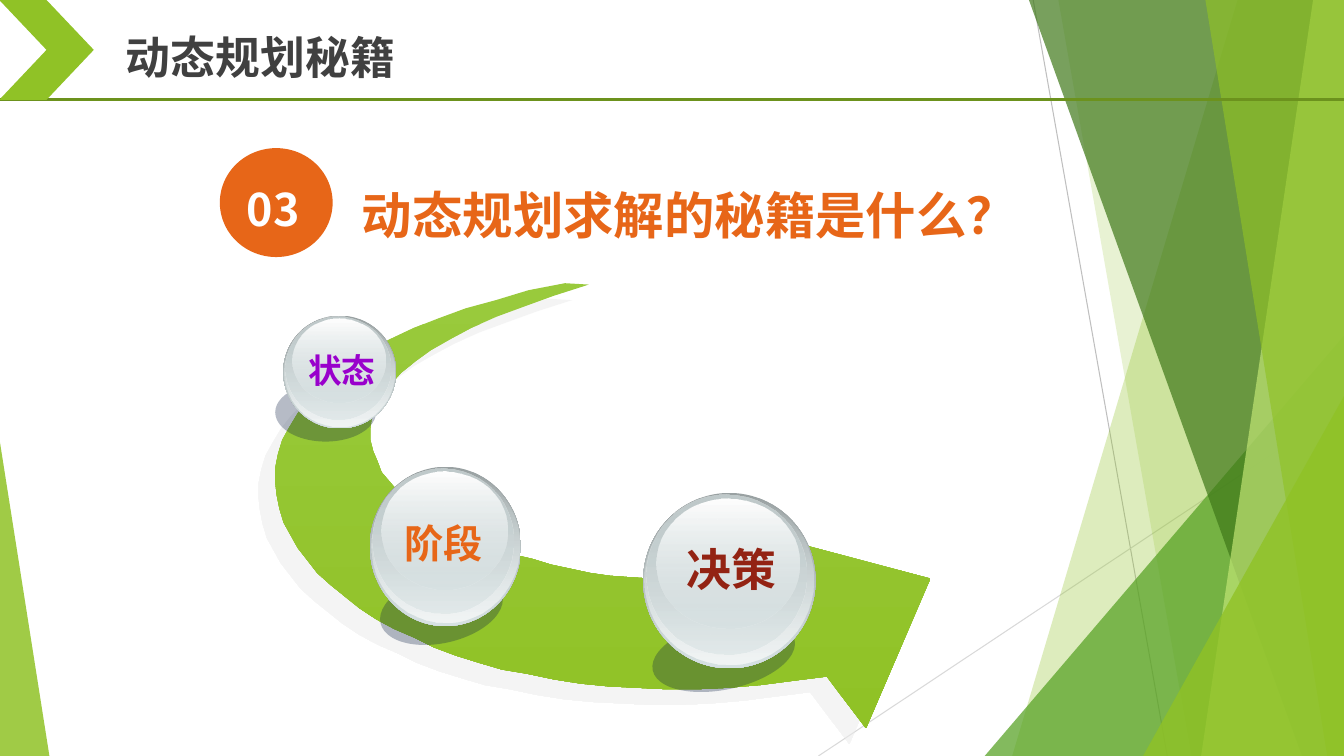
from dataclasses import dataclass

from lxml.etree import SubElement
from pptx import Presentation
from pptx.dml.color import RGBColor
from pptx.enum.shapes import MSO_CONNECTOR, MSO_SHAPE
from pptx.enum.text import MSO_ANCHOR, MSO_AUTO_SIZE, PP_ALIGN
from pptx.oxml.ns import qn
from pptx.util import Pt


@dataclass(frozen=True)
class Theme:
    font: str = "Noto Sans CJK SC"
    green: str = "90C226"
    light_green: str = "99CA3C"
    pale_green: str = "C0E474"
    leaf: str = "54A021"
    forest: str = "3F7819"
    rule: str = "6C921D"
    orange: str = "E76618"
    purple: str = "9900CC"
    red: str = "932313"
    ink: str = "404040"
    white: str = "FFFFFF"
    navy: str = "0F2145"
    arrow_shadow: str = "EBEBEB"
    hairline: str = "BFBFBF"
    faint_hairline: str = "D9D9D9"
    steel: str = "99A1A2"
    silver: str = "C1CBCC"
    mist: str = "D6E1E2"
    frost: str = "F2F5F5"
    heading: int = 36
    title: int = 32
    medium: int = 28
    small: int = 24


THEME = Theme()


@dataclass(frozen=True)
class Box:
    left: float
    top: float
    width: float
    height: float

    def inner(self, left, top, width, height):
        return Box(self.left + left, self.top + top, width, height)

    def share(self, left, top, width, height):
        return self.inner(left * self.width, top * self.height,
                          width * self.width, height * self.height)

    def lengths(self):
        return Pt(self.left), Pt(self.top), Pt(self.width), Pt(self.height)


# Shared drawing helpers

def paint(shape, *stops):
    """Fill with one (colour, opacity) pair, or a downward gradient of two."""
    shape.shadow.inherit = False
    if len(stops) == 1:
        shape.fill.solid()
        shape.fill.fore_color.rgb = RGBColor.from_string(stops[0][0])
    else:
        shape.fill.gradient()
        shape.fill.gradient_angle = 270
        for stop, (colour, _) in zip(shape.fill.gradient_stops, stops):
            stop.color.rgb = RGBColor.from_string(colour)
    for node, (_, opacity) in zip(shape._element.spPr.iter(qn("a:srgbClr")), stops):
        if opacity < 100:
            SubElement(node, qn("a:alpha"), val=str(opacity * 1000))
    shape.line.fill.background()


def add_preset(slide, kind, box, *stops):
    shape = slide.shapes.add_shape(kind, *box.lengths())
    paint(shape, *stops)
    return shape


def add_outline(slide, box, points, *stops):
    builder = slide.shapes.build_freeform(*points[0], scale=Pt(1))
    builder.add_line_segments(points[1:], close=True)
    shape = builder.convert_to_shape(Pt(box.left), Pt(box.top))
    paint(shape, *stops)
    return shape


def add_line(slide, box, start, end, colour, width):
    ends = [Pt(value) for x, y in (start, end) for value in (box.left + x, box.top + y)]
    line = slide.shapes.add_connector(MSO_CONNECTOR.STRAIGHT, *ends)
    line.line.color.rgb = RGBColor.from_string(colour)
    line.line.width = Pt(width)
    SubElement(line._element.spPr, qn("a:effectLst"))


def write(shape, box, text, size, colour, align=PP_ALIGN.LEFT,
          anchor=MSO_ANCHOR.MIDDLE, spacing=1.0):
    shape.left, shape.top, shape.width, shape.height = box.lengths()
    frame = shape.text_frame
    frame.text = text
    frame.word_wrap = True
    frame.auto_size = MSO_AUTO_SIZE.NONE
    frame.vertical_anchor = anchor
    frame.margin_left = frame.margin_right = frame.margin_top = frame.margin_bottom = 0
    para = frame.paragraphs[0]
    para.alignment, para.line_spacing = align, spacing
    span = para.runs[0]
    span.font.name, span.font.size, span.font.bold = THEME.font, Pt(size), True
    span.font.color.rgb = RGBColor.from_string(colour)
    SubElement(span._r.get_or_add_rPr(), qn("a:ea"), typeface=THEME.font)


def add_label(slide, box, *args, **options):
    write(slide.shapes.add_textbox(*box.lengths()), box, *args, **options)


# Translucent facets along the right edge
def draw_facets(slide, box):
    add_line(slide, box, (38, 0), (133.8, 540), THEME.hairline, 0.75)
    add_line(slide, box, (260, 290.2), (-115.4, 540), THEME.faint_hairline, 0.75)
    facets = [  # top x, top y, bottom x, colour, opacity
        (184.2, 0, 22.9, THEME.green, 30),
        (56, 0, 151, THEME.green, 20),
        (260, 239.8, 3.4, THEME.leaf, 72),
        (35.1, 0, 229.5, THEME.forest, 70),
        (238.2, 0, 158.2, THEME.pale_green, 70),
        (161.1, 0, 248.2, THEME.green, 65),
        (260, 283, 116.5, THEME.green, 80),
    ]
    for top_x, top_y, bottom_x, colour, opacity in facets:
        if top_x == box.width:
            area = box.inner(bottom_x, top_y, box.width - bottom_x, box.height - top_y)
            wedge = add_preset(slide, MSO_SHAPE.ISOSCELES_TRIANGLE, area, (colour, opacity))
            wedge.adjustments[0] = 1
        else:
            corners = [(top_x, 0), (box.width, 0), (box.width, box.height), (bottom_x, box.height)]
            add_outline(slide, box, corners, (colour, opacity))


def draw_corner(slide, box):
    wedge = add_preset(slide, MSO_SHAPE.ISOSCELES_TRIANGLE, box, (THEME.green, 85))
    wedge.adjustments[0] = 0


# Title bar with chevron and rule
def draw_title_bar(slide, box):
    add_line(slide, box, (0, box.height), (box.width, box.height), THEME.rule, 2.25)
    add_preset(slide, MSO_SHAPE.CHEVRON, box.inner(-0.5, 0, 67.5, box.height), (THEME.green, 100))
    write(slide.shapes.title, box.inner(90, 17.3, 300, 46), "动态规划秘籍", THEME.title, THEME.ink)


# Numbered question
def draw_question(slide, box):
    add_preset(slide, MSO_SHAPE.OVAL, box.inner(0, 0, 80.6, 77.8), (THEME.orange, 100))
    add_label(slide, box.inner(19.4, 18.7, 45, 49.7), "03", THEME.title, THEME.white)
    add_label(slide, box.inner(101.5, 4.4, 474, 55.4), "动态规划求解的秘籍是什么？",
              THEME.heading, THEME.orange, anchor=MSO_ANCHOR.TOP, spacing=1.5)


# Curved arrow, in hundredths of an inch from the corner of its box
SWEEP = [
    (287, 0), (252, 7), (219, 16), (189, 25), (162, 35), (137, 45), (114, 56), (93, 67),
    (75, 79), (58, 91), (44, 104), (32, 117), (22, 129), (14, 143), (7, 156), (3, 170),
    (0, 183), (0, 197), (1, 210), (4, 223), (8, 237), (15, 250), (22, 263), (32, 275),
    (42, 288), (55, 300), (69, 311), (84, 322), (100, 333), (118, 343), (137, 352),
    (157, 361), (179, 369), (201, 376), (225, 383), (250, 388), (276, 393), (303, 397),
    (330, 400), (359, 402), (388, 403), (419, 403), (450, 402), (482, 399), (514, 395),
    (547, 390), (586, 441), (650, 293), (430, 235), (469, 287), (451, 290), (431, 292),
    (412, 293), (392, 294), (372, 293), (352, 292), (332, 290), (312, 287), (293, 284),
    (274, 279), (255, 274), (237, 269), (219, 263), (203, 256), (187, 249), (171, 242),
    (157, 233), (145, 225), (133, 216), (122, 207), (114, 197), (106, 187), (101, 177),
    (97, 167), (94, 156), (94, 145), (96, 134), (100, 123), (106, 112), (114, 101),
    (125, 89), (139, 78), (154, 67), (173, 56), (194, 45), (219, 34), (246, 23),
    (277, 12), (311, 2),
]


def draw_arrow(slide, box):
    points = [(x * 0.72, y * 0.72) for x, y in SWEEP]
    arrow = add_outline(slide, box, points, (THEME.light_green, 100), (THEME.green, 100))
    effects = arrow._element.spPr.find(qn("a:effectLst"))
    shadow = SubElement(effects, qn("a:outerShdw"), dist=str(Pt(16.3)),
                        dir=str(137 * 60000), algn="ctr", rotWithShape="0")
    colour = SubElement(shadow, qn("a:srgbClr"), val=THEME.arrow_shadow)
    SubElement(colour, qn("a:alpha"), val="50000")


# Glass ball: share of the ball's box, then the two gradient stops
GLASS = [
    ((0, 0, 1, 1), (THEME.steel, 100), (THEME.mist, 100)),
    ((0.01, 0.01, 0.98, 0.97), (THEME.mist, 0), (THEME.frost, 100)),
    ((0.02, 0.01, 0.93, 0.91), (THEME.silver, 100), (THEME.mist, 48)),
    ((0.08, 0.03, 0.83, 0.74), (THEME.white, 100), (THEME.mist, 38)),
]


def draw_ball(slide, box, shadow_box, tilt, label_box, text, size, colour):
    shadow = add_preset(slide, MSO_SHAPE.OVAL, box.inner(*shadow_box), (THEME.navy, 30))
    shadow.rotation = tilt
    for share, *stops in GLASS:
        add_preset(slide, MSO_SHAPE.OVAL, box.share(*share), *stops)
    add_label(slide, box.inner(*label_box), text, size, colour, align=PP_ALIGN.CENTER)


def main():
    deck = Presentation()
    deck.slide_width, deck.slide_height = Pt(960), Pt(540)
    slide = deck.slides.add_slide(deck.slide_layouts[5])
    draw_facets(slide, Box(700, 0, 260, 540))
    draw_corner(slide, Box(0, 316.1, 35.3, 223.9))
    draw_title_bar(slide, Box(0, 0, 960, 71.3))
    draw_question(slide, Box(157, 105.8, 576, 78))
    draw_arrow(slide, Box(196.6, 202.3, 468, 318))
    draw_ball(slide, Box(459.4, 352.1, 123.1, 125.3), (5.7, 91.4, 103.7, 49), 347.9,
              (20.8, 30.9, 85, 46.1), "决策", THEME.title, THEME.red)
    draw_ball(slide, Box(264.2, 333.4, 108, 113.8), (6.5, 77.7, 89.3, 48.2), 347.1,
              (17.3, 33.8, 71.3, 41), "阶段", THEME.medium, THEME.orange)
    draw_ball(slide, Box(202.3, 225.4, 80.6, 80.6), (-5.7, 48.2, 72, 41.8), 0,
              (10.1, 20.8, 63.4, 36), "状态", THEME.small, THEME.purple)
    deck.save("out.pptx")


if __name__ == "__main__":
    main()
